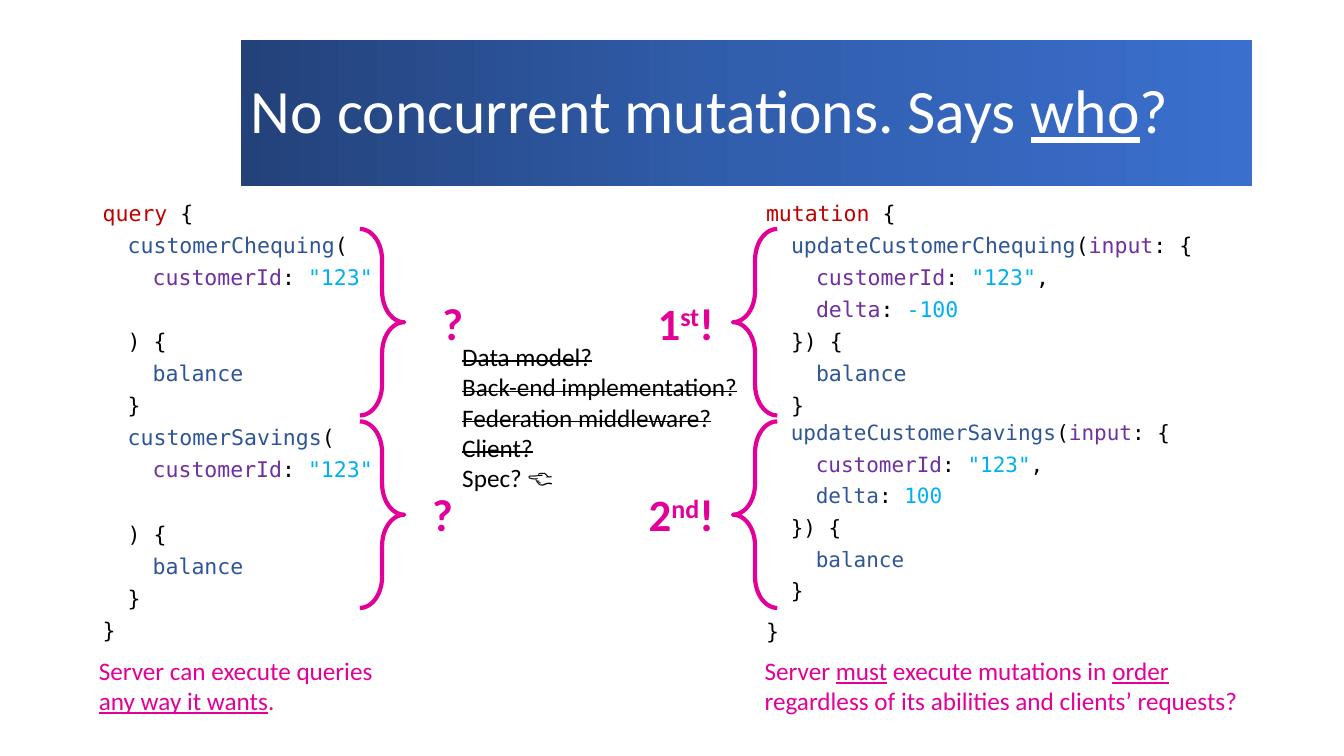
"""Build the slide comparing query and mutation execution order."""
from copy import deepcopy
from pptx import Presentation
from pptx.dml.color import RGBColor
from pptx.enum.shapes import MSO_SHAPE
from pptx.enum.text import MSO_ANCHOR, MSO_AUTO_SIZE, PP_ALIGN
from pptx.oxml.ns import qn
from pptx.oxml.xmlchemy import OxmlElement
from pptx.util import Cm, Pt

BLACK, WHITE, PINK = "000000", "FFFFFF", "E20099"
RED, BLUE, PURPLE, CYAN = "C00000", "2F5597", "7030A0", "00B0F0"
CODE_GAP = 10
BLANK_LINE = 23


def add_run(paragraph, text, size, colour, typeface="Calibri"):
    """Append a formatted run and return it."""
    run = paragraph.add_run()
    run.text = text
    run.font.size = Pt(size)
    run.font.name = typeface
    run.font.color.rgb = RGBColor.from_string(colour)
    return run


def add_box(left, top, width, height):
    """Add a wrapping text box and return its text frame."""
    box = slide.shapes.add_textbox(Cm(left), Cm(top), Cm(width), Cm(height))
    box.text_frame.word_wrap = True
    return box.text_frame


presentation = Presentation()
presentation.slide_width = Cm(33.87)
presentation.slide_height = Cm(19.05)
slide = presentation.slides.add_slide(presentation.slide_layouts[1])

title = slide.shapes.title
title.left, title.top, title.width, title.height = Cm(6.07), Cm(1.02), Cm(25.48), Cm(3.68)
title.fill.gradient()
title.fill.gradient_angle = 0
stop_list = title.element.spPr.find(qn("a:gradFill")).find(qn("a:gsLst"))
stop_list.insert(1, deepcopy(stop_list[0]))
for stop, position, colour in zip(title.fill.gradient_stops, (0, 0.5, 1), ("23427A", "315EAD", "3A6FCE")):
    stop.position = position
    stop.color.rgb = RGBColor.from_string(colour)
title.text_frame.vertical_anchor = MSO_ANCHOR.MIDDLE
title.text_frame.auto_size = MSO_AUTO_SIZE.NONE
heading = title.text_frame.paragraphs[0]
heading.alignment = PP_ALIGN.LEFT
heading.line_spacing = 0.9
for text in ("No concurrent mutations. Says ", "who", "?"):
    add_run(heading, text, 44, WHITE).font.underline = text == "who"

body = slide.placeholders[1]
body.left, body.top, body.width, body.height = Cm(19.05), Cm(5.08), Cm(12.6), Cm(12.09)
body.text_frame.auto_size = MSO_AUTO_SIZE.NONE

customer_id = [("customerId", PURPLE), (": ", BLACK), ('"123"', CYAN)]
customer_id_comma = customer_id + [(",", BLACK)]
balance = (2, 0, [("balance", BLUE)])
close_field = (1, 0, [("}", BLACK)])
close_input = (1, 0, [("}) {", BLACK)])
input_start = [("(", BLACK), ("input", PURPLE), (": {", BLACK)]

query_lines = [(0, 0, [("query", RED), (" {", BLACK)])]
for field in ("customerChequing", "customerSavings"):
    query_lines += [
        (1, 0, [(field, BLUE), ("(", BLACK)]),
        (2, 0, customer_id),
        (1, 1, [(") {", BLACK)]),
        balance,
        close_field,
    ]
query_lines.append((0, 0, [("}", BLACK)]))

first_mutation_lines = [
    (0, 0, [("mutation", RED), (" {", BLACK)]),
    (1, 0, [("updateCustomerChequing", BLUE)] + input_start),
    (2, 0, customer_id_comma),
    (2, 0, [("delta", PURPLE), (": ", BLACK), ("-100", CYAN)]),
    close_input,
    balance,
    close_field,
    (0, 6, [("}", BLACK)]),
]
second_mutation_lines = [
    (1, 0, [("updateCustomerSavings", BLUE)] + input_start),
    (2, 0, customer_id_comma),
    (2, 0, [("delta", BLUE), (": ", BLACK), ("100", CYAN)]),
    close_input,
    balance,
    close_field,
]

listings = [
    (add_box(2.34, 5.08, 12.6, 12.09), 15.4, query_lines),
    (body.text_frame, 15.4, first_mutation_lines),
    (add_box(19.05, 10.62, 12.7, 4.83), 15, second_mutation_lines),
]
for frame, size, lines in listings:
    for index, (level, blank_lines, tokens) in enumerate(lines):
        paragraph = frame.add_paragraph() if index else frame.paragraphs[0]
        properties = paragraph._p.get_or_add_pPr()
        properties.set("marL", str(Cm(0.63 * level)))
        properties.set("indent", "0")
        properties.append(OxmlElement("a:buNone"))
        paragraph.line_spacing = 0.7
        paragraph.space_before = Pt(CODE_GAP + BLANK_LINE * blank_lines if index else 0)
        for text, colour in tokens:
            add_run(paragraph, text, size, colour, "DejaVu Sans Mono")

for left, flipped in ((9.07, False), (18.47, True)):
    for top in (10.62, 5.77):
        brace = slide.shapes.add_shape(MSO_SHAPE.RIGHT_BRACE, Cm(left), Cm(top), Cm(1.12), Cm(4.7))
        brace.adjustments[0] = 0.7
        brace.shadow.inherit = False
        brace.fill.background()
        brace.line.color.rgb = RGBColor.from_string(PINK)
        brace.line.width = Pt(3)
        if flipped:
            brace.element.spPr.xfrm.set("flipH", "1")

order_labels = [
    (16.13, 7.32, 2.11, PP_ALIGN.RIGHT, ("1", "st", "!")),
    (15.88, 12.14, 2.36, PP_ALIGN.RIGHT, ("2", "nd", "!")),
    (10.9, 7.32, 2.11, PP_ALIGN.LEFT, ("?",)),
    (10.64, 12.14, 2.36, PP_ALIGN.LEFT, ("?",)),
]
for left, top, width, alignment, texts in order_labels:
    paragraph = add_box(left, top, width, 1.63).paragraphs[0]
    paragraph.alignment = alignment
    for text in texts:
        run = add_run(paragraph, text, 32, PINK)
        run.font.bold = True
        if text in ("st", "nd"):
            run.font._element.set("baseline", "30000")

suspects = ["Data model?", "Back-end implementation?", "Federation middleware?", "Client?", "Spec? 👈"]
frame = add_box(11.4, 8.48, 7.54, 4.11)
for index, suspect in enumerate(suspects):
    paragraph = frame.add_paragraph() if index else frame.paragraphs[0]
    run = add_run(paragraph, suspect, 18, BLACK)
    if suspect != suspects[-1]:
        run.font._element.set("strike", "sngStrike")

captions = [
    (2.24, 7.54, [("Server can execute queries ", False), ("any way it wants", True), (".", False)]),
    (19.02, 12.6, [
        ("Server ", False), ("must", True), (" execute mutations in ", False), ("order", True),
        (" regardless of its abilities and clients’ requests?", False),
    ]),
]
for left, width, pieces in captions:
    paragraph = add_box(left, 16.38, width, 1.8).paragraphs[0]
    for text, underlined in pieces:
        add_run(paragraph, text, 18, PINK).font.underline = underlined

presentation.save("out.pptx")
